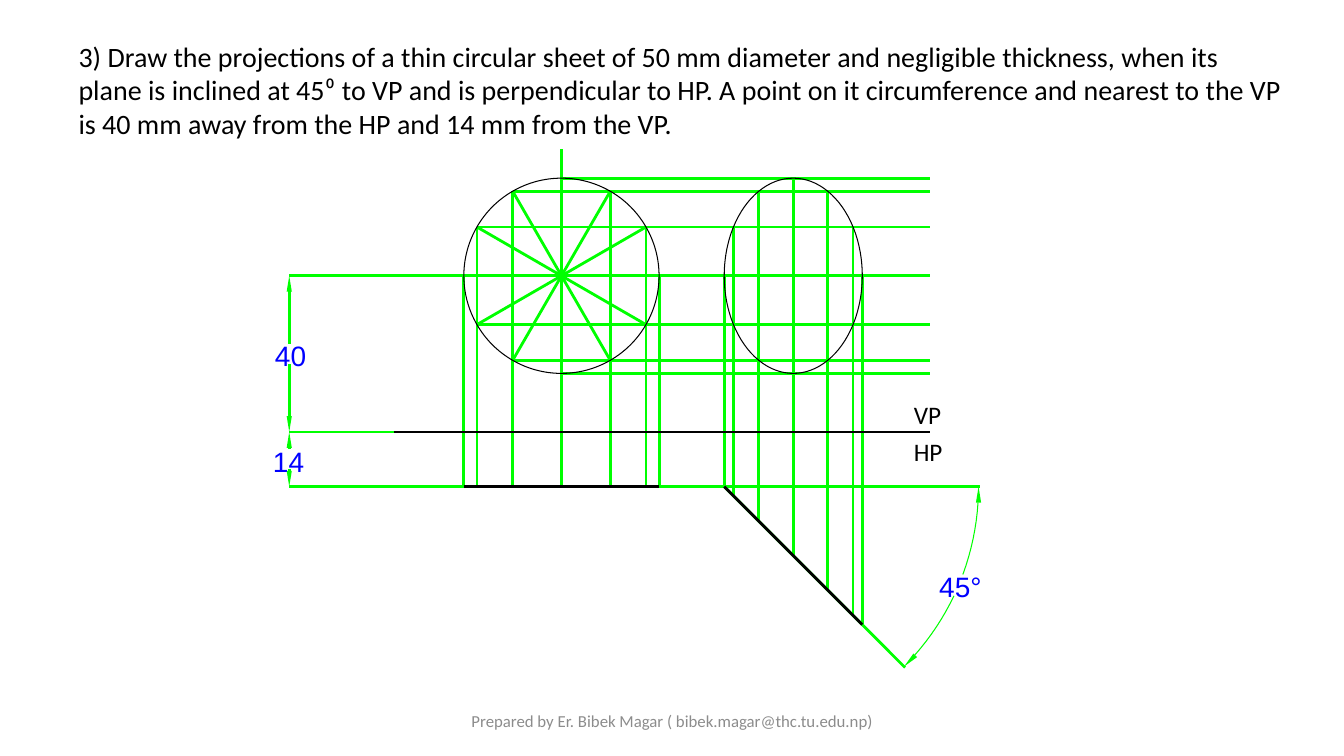
from math import cos, sin, radians
from lxml.etree import SubElement
from pptx import Presentation
from pptx.dml.color import RGBColor
from pptx.enum.shapes import MSO_CONNECTOR, MSO_SHAPE
from pptx.enum.text import MSO_ANCHOR, PP_ALIGN
from pptx.oxml.ns import qn
from pptx.util import Cm, Pt

GREEN, BLACK, BLUE, GREY = "00FF00", "000000", "0000FF", "8C8C8C"

prs = Presentation()
prs.slide_width, prs.slide_height = Cm(33.87), Cm(19.05)
s = prs.slides.add_slide(prs.slide_layouts[6])

# Geometry in cm: MM is the drawn length of one millimetre
MM = 0.0984
R = 25 * MM
TILT = cos(radians(45))
cx, cy = 14.15, 6.95                # centre of the front view
ex = 19.99                          # centre of the final front view
xy_y = cy + 40 * MM                 # line between VP and HP
top_y = xy_y + 14 * MM              # edge of the sheet in the top view
tilt_x = ex - R * TILT              # hinge of the tilted sheet
dim_x, right_x = 7.29, 23.44
arc_r = 6.41


def line(x1, y1, x2, y2, color=GREEN):
    c = s.shapes.add_connector(MSO_CONNECTOR.STRAIGHT, Cm(x1), Cm(y1), Cm(x2), Cm(y2))
    c.line.color.rgb = RGBColor.from_string(color)
    c.line.width = Pt(0)
    SubElement(c._element.spPr, qn("a:effectLst"))


def outline(points, close):
    pts = [(Cm(x), Cm(y)) for x, y in points]
    fb = s.shapes.build_freeform(*pts[0])
    fb.add_line_segments(pts[1:], close=close)
    sp = fb.convert_to_shape()
    sp.shadow.inherit = False
    return sp


# Horizontal projectors through the twelve division points
for k in range(-3, 4):
    a = radians(30 * k)
    start_x = cx - R * cos(a) if k else dim_x
    line(start_x, cy - R * sin(a), right_x, cy - R * sin(a))

# Vertical projectors of both views
for k in range(7):
    a = radians(30 * k)
    dx, y = -R * cos(a), cy - R * sin(a)
    line(cx + dx, 3.76 if k == 3 else y, cx + dx, top_y)
    line(ex + dx * TILT, y, ex + dx * TILT, top_y + (dx + R) * TILT)

# Diameters of the circle
for deg in (30, 60, 120, 150):
    dx, dy = R * cos(radians(deg)), R * sin(radians(deg))
    line(cx - dx, cy + dy, cx + dx, cy - dy)

# Reference lines and the sheet seen from above
line(dim_x, xy_y, 9.93, xy_y)
line(9.93, xy_y, right_x, xy_y, BLACK)
line(dim_x, top_y, 24.69, top_y)
line(cx - R, top_y, cx + R, top_y, BLACK)
line(tilt_x, top_y, tilt_x + 4.56, top_y + 4.56)
line(tilt_x, top_y, tilt_x + 2 * R * TILT, top_y + 2 * R * TILT, BLACK)

# Circle and ellipse
for x, rx in ((cx, R), (ex, R * TILT)):
    sp = s.shapes.add_shape(MSO_SHAPE.OVAL, Cm(x - rx), Cm(cy - R), Cm(2 * rx), Cm(2 * R))
    sp.shadow.inherit = False
    sp.fill.background()
    sp.line.color.rgb = RGBColor.from_string(BLACK)
    sp.line.width = Pt(0)

# Dimension lines, broken around the numbers
for y1, y2 in ((7.34, 8.66), (9.17, 10.49), (11.28, 11.31), (11.81, 11.86)):
    line(dim_x, y1, dim_x, y2)

# Angle arc, broken around its label
for first, last in ((3.6, 20.2), (25.4, 41.6)):
    angles = [radians(first + (last - first) * i / 8) for i in range(9)]
    sp = outline([(tilt_x + arc_r * cos(a), top_y + arc_r * sin(a)) for a in angles], False)
    sp.fill.background()
    sp.line.color.rgb = RGBColor.from_string(GREEN)
    sp.line.width = Pt(0)

# Arrowheads: tip and pointing direction in degrees, clockwise from right
for x, y, deg in (
    (dim_x, cy, -90),
    (dim_x, xy_y, 90),
    (dim_x, xy_y, -90),
    (dim_x, top_y, 90),
    (tilt_x + arc_r, top_y, -90),
    (tilt_x + arc_r * TILT, top_y + arc_r * TILT, 135),
):
    ux, uy = cos(radians(deg)), sin(radians(deg))
    bx, by = x - 0.4 * ux, y - 0.4 * uy
    w = 0.065
    sp = outline([(bx - w * uy, by + w * ux), (bx + w * uy, by - w * ux), (x, y)], True)
    sp.fill.solid()
    sp.fill.fore_color.rgb = RGBColor.from_string(GREEN)
    sp.line.fill.background()

# Texts: left, top, width, height, size, font, colour, kind
question = (
    "3) Draw the projections of a thin circular sheet of 50 mm diameter and negligible "
    "thickness, when its plane is inclined at 45⁰ to VP and is perpendicular to HP. "
    "A point on it circumference and nearest to the VP is 40 mm away from the HP "
    "and 14 mm from the VP."
)
footer = "Prepared by Er. Bibek Magar ( bibek.magar@thc.tu.edu.np)"
for text, x, y, w, h, size, font, color, kind in (
    ("40", 6.93, 8.53, 1.09, 0.94, 20, "Arial", BLUE, "dimension"),
    ("14", 6.88, 11.2, 1.09, 0.94, 20, "Arial", BLUE, "dimension"),
    ("45°", 23.67, 14.35, 1.37, 0.94, 20, "Arial", BLUE, "dimension"),
    ("VP", 22.78, 9.93, 1.47, 1.02, 18, "Calibri", BLACK, "label"),
    ("HP", 22.78, 10.87, 1.47, 1.02, 18, "Calibri", BLACK, "label"),
    (question, 1.73, 0.86, 30.86, 2.82, 20, "Calibri", BLACK, "label"),
    (footer, 11.23, 17.65, 11.43, 1.02, 12, "Calibri", GREY, "footer"),
):
    tf = s.shapes.add_textbox(Cm(x), Cm(y), Cm(w), Cm(h)).text_frame
    tf.word_wrap = kind != "dimension"
    if kind == "dimension":
        tf.margin_left = tf.margin_right = tf.margin_top = tf.margin_bottom = 0
    p = tf.paragraphs[0]
    p.text = text
    if kind == "footer":
        tf.vertical_anchor = MSO_ANCHOR.MIDDLE
        p.alignment = PP_ALIGN.CENTER
    r = p.runs[0]
    r.font.size, r.font.name = Pt(size), font
    r.font.color.rgb = RGBColor.from_string(color)

prs.save("out.pptx")
